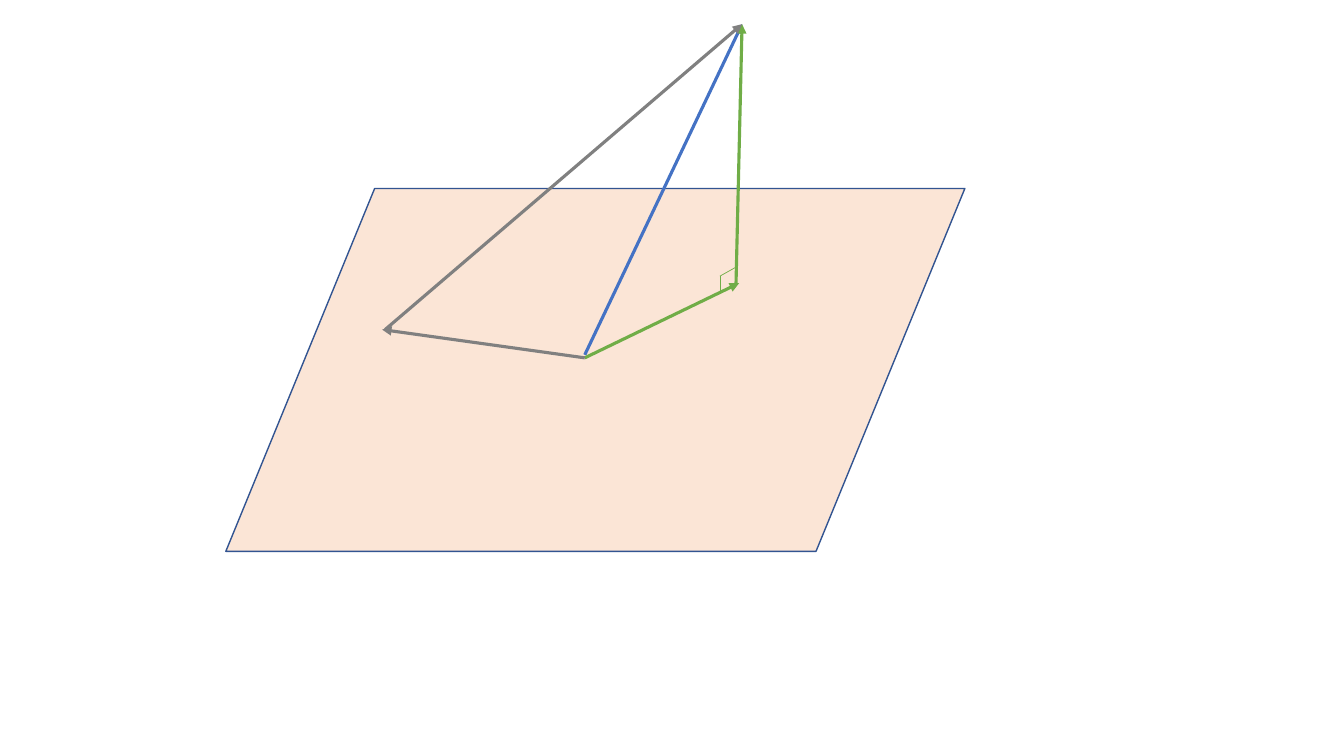
from lxml import etree
from pptx import Presentation
from pptx.dml.color import RGBColor
from pptx.enum.shapes import MSO_CONNECTOR, MSO_SHAPE
from pptx.oxml.ns import qn
from pptx.util import Inches, Pt

PARALLELOGRAM = MSO_SHAPE.PARALLELOGRAM
STRAIGHT = MSO_CONNECTOR.STRAIGHT
COLORS = {
    "plane": "FBE5D6",
    "plane_edge": "325491",
    "blue": "4472C4",
    "green": "70AD47",
    "gray": "808080",
}


def add_line(slide, start, end, color, width, arrow):
    line = slide.shapes.add_connector(
        STRAIGHT, *(Inches(value) for value in (*start, *end)))
    line.line.color.rgb = RGBColor.from_string(COLORS[color])
    line.line.width = Pt(width)
    if arrow:
        outline = line.line._get_or_add_ln()
        etree.SubElement(outline, qn("a:tailEnd"), type="triangle")
    etree.SubElement(line._element.spPr, qn("a:effectLst"))


presentation = Presentation()
presentation.slide_width = Inches(13.33)
presentation.slide_height = Inches(7.5)
slide = presentation.slides.add_slide(presentation.slide_layouts[6])

plane = slide.shapes.add_shape(
    PARALLELOGRAM, Inches(2.24), Inches(1.87), Inches(7.33), Inches(3.6))
plane.adjustments[0] = 0.41
plane.shadow.inherit = False
plane.fill.solid()
plane.fill.fore_color.rgb = RGBColor.from_string(COLORS["plane"])
plane.line.color.rgb = RGBColor.from_string(COLORS["plane_edge"])
plane.line.width = Pt(1)

origin = (5.8, 3.55)
tip = (7.36, 0.24)
corner = (7.14, 2.74)

vectors = [
    ((5.8, 3.52), tip, "blue"),
    (origin, (7.33, 2.81), "green"),
    ((7.3, 2.81), tip, "green"),
]
right_angle = [((7.3, 2.65), corner), (corner, (7.14, 2.9))]
other_vectors = [
    (origin, (3.79, 3.27), "gray"),
    ((3.82, 3.27), tip, "gray"),
]

for start, end, color in vectors:
    add_line(slide, start, end, color, 2.25, True)
for start, end in right_angle:
    add_line(slide, start, end, "green", 0.5, False)
for start, end, color in other_vectors:
    add_line(slide, start, end, color, 2.25, True)

presentation.save("out.pptx")
